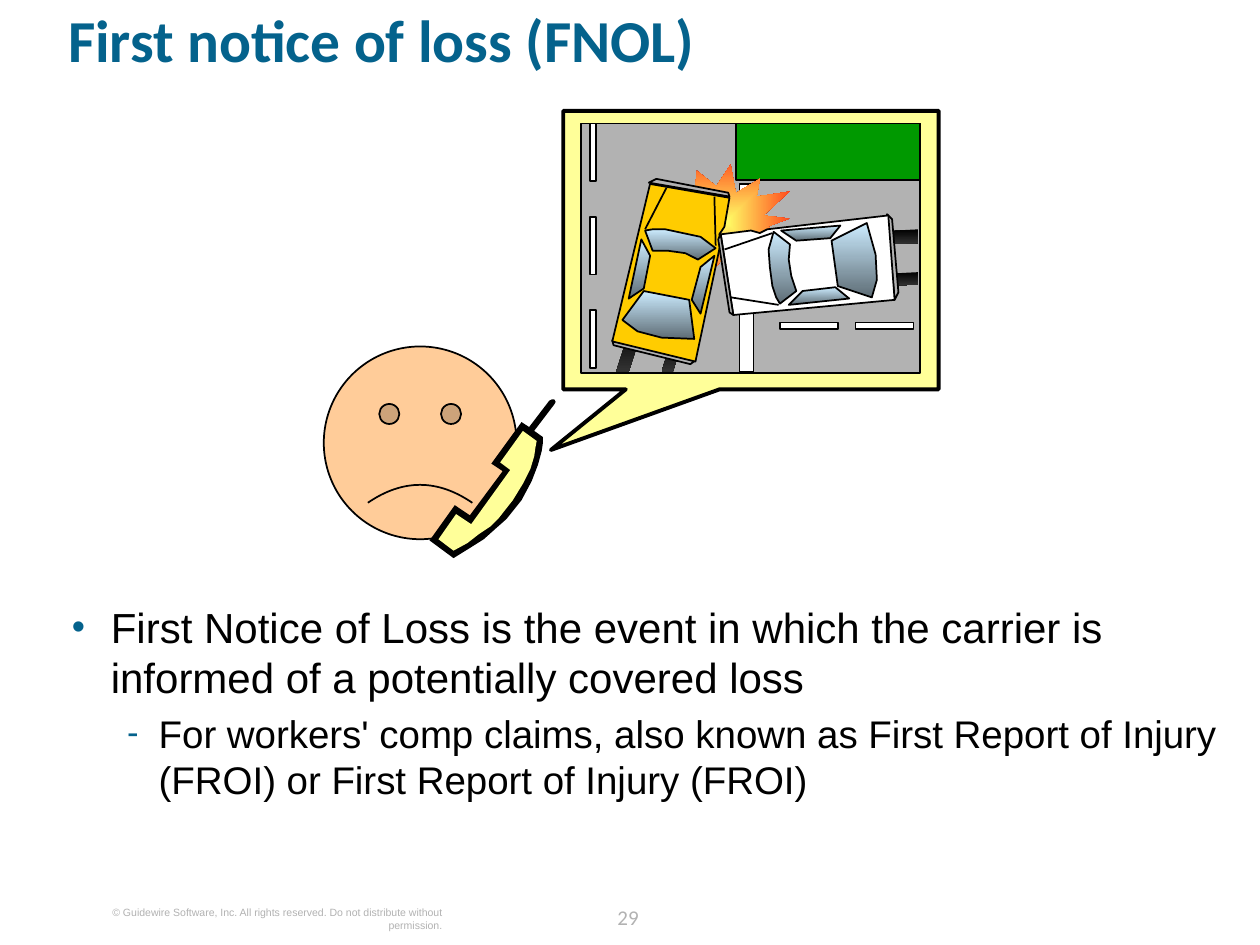
from lxml import etree
from pptx import Presentation
from pptx.dml.color import RGBColor
from pptx.enum.shapes import MSO_CONNECTOR, MSO_SHAPE as Preset
from pptx.enum.text import PP_ALIGN as Align
from pptx.oxml.ns import qn
from pptx.util import Cm, Pt

BLACK = RGBColor(0x00, 0x00, 0x00)
CHARCOAL = RGBColor(0x33, 0x33, 0x33)
WHITE = RGBColor(0xFF, 0xFF, 0xFF)
GREY = RGBColor(0xB2, 0xB2, 0xB2)
TEAL = RGBColor(0x04, 0x62, 0x8C)
CREAM = RGBColor(0xFF, 0xFF, 0x99)
SKIN = RGBColor(0xFF, 0xCC, 0x99)
GREEN = RGBColor(0x00, 0x99, 0x00)
TAXI = RGBColor(0xFF, 0xCC, 0x00)
FLAME = (RGBColor(0xFF, 0xFF, 0x66), RGBColor(0xFF, 0x00, 0x00))
GLASS = (RGBColor(0xCC, 0xEC, 0xFF), RGBColor(0x5E, 0x6D, 0x76))
TYRE = (BLACK, CHARCOAL)

# Positions are on an inch grid: left, top, width, height or x, y.
TITLE = "First notice of loss (FNOL)"
BULLETS = [
    dict(text="First Notice of Loss is the event in which the carrier is informed of a "
              "potentially covered loss",
         mark="•", size=24, indent=0.31, hang=0.31, before=0),
    dict(text="For workers' comp claims, also known as First Report of Injury (FROI) or "
              "First Report of Injury (FROI)",
         mark="-", size=22, indent=0.69, hang=0.25, before=4.4),
]
COPYRIGHT = "© Guidewire Software, Inc. All rights reserved. Do not distribute without permission."
PAGE = "29"

HANDSET = [
    ([(3.61, 4.01), (3.73, 4.09), (3.99, 3.74), (3.9, 3.68), (4.14, 3.35), (4.2, 3.39),
      (4.36, 3.18), (4.38, 3.17), (4.4, 3.17), (4.41, 3.19), (4.4, 3.21), (4.24, 3.42),
      (4.31, 3.47), (4.31, 3.51), (4.3, 3.58), (4.27, 3.69), (4.22, 3.82), (4.14, 3.97),
      (4.02, 4.12), (3.93, 4.2), (3.84, 4.28), (3.73, 4.35), (3.6, 4.43), (3.41, 4.29)],
     BLACK),
    ([(3.6, 4.37), (3.71, 4.31), (3.8, 4.24), (3.89, 4.18), (3.96, 4.11), (4.07, 3.97),
      (4.15, 3.84), (4.21, 3.72), (4.24, 3.62), (4.25, 3.55), (4.26, 3.5), (4.15, 3.42),
      (3.97, 3.67), (4.05, 3.73), (3.74, 4.16), (3.62, 4.08), (3.48, 4.28)],
     CREAM),
]

STREET = [
    ((4.61, 0.98, 2.69, 1.98), GREY),
    ((5.84, 0.98, 1.46, 0.45), GREEN),
    ((5.87, 1.46, 0.11, 1.49), WHITE),
]
DASH_LONG, DASH_THIN = 0.46, 0.05
STREET += [((4.68, 0.98 + 0.74 * n, DASH_THIN, DASH_LONG), WHITE) for n in range(3)]
STREET += [((6.19 + 0.6 * n, 2.56, DASH_LONG, DASH_THIN), WHITE) for n in range(2)]

SKID_MARKS = [
    [(6.9, 1.94), (7.29, 1.93), (7.29, 1.82), (6.9, 1.84)],
    [(6.9, 2.27), (7.29, 2.26), (7.29, 2.16), (6.9, 2.18)],
    [(5.01, 2.58), (4.89, 2.95), (4.99, 2.95), (5.1, 2.61)],
    [(5.34, 2.67), (5.25, 2.95), (5.34, 2.95), (5.43, 2.67)],
]

CARS = [
    dict(
        paint=TAXI,
        rear=[(4.86, 2.7), (5.52, 2.86), (5.48, 2.89), (4.87, 2.74)],
        body=[(5.16, 1.46), (4.86, 2.71), (5.52, 2.87), (5.72, 1.93), (5.71, 1.86),
              (5.75, 1.8), (5.79, 1.57)],
        windows=[
            [(5.12, 1.83), (5.18, 1.99), (5.3, 1.99), (5.44, 2.01), (5.54, 2.06),
             (5.68, 1.97), (5.56, 1.88), (5.42, 1.85), (5.28, 1.82), (5.18, 1.82)],
            [(5.11, 2.31), (4.94, 2.54), (5.06, 2.63), (5.25, 2.68), (5.51, 2.69),
             (5.47, 2.38)],
            [(5.56, 2.12), (5.67, 2.03), (5.56, 2.49), (5.49, 2.38)],
            [(5.16, 2.03), (5.11, 2.29), (4.99, 2.37), (5.09, 1.9)],
        ],
        creases=[((5.12, 1.82), (5.29, 1.49)), ((5.68, 1.95), (5.67, 1.56))],
        front=[(5.15, 1.45), (5.21, 1.42), (5.78, 1.53), (5.79, 1.56)],
    ),
    dict(
        paint=WHITE,
        rear=[(7.04, 1.7), (7.1, 2.38), (7.13, 2.32), (7.08, 1.74)],
        body=[(5.82, 2.5), (7.1, 2.38), (7.05, 1.71), (6.09, 1.82), (6.03, 1.85),
              (5.96, 1.83), (5.72, 1.86)],
        windows=[
            [(6.19, 2.41), (6.32, 2.31), (6.28, 2.19), (6.26, 2.06), (6.27, 1.94),
             (6.14, 1.84), (6.1, 1.98), (6.11, 2.12), (6.13, 2.27), (6.16, 2.36)],
            [(6.65, 2.27), (6.92, 2.36), (6.96, 2.22), (6.95, 2.02), (6.88, 1.77),
             (6.6, 1.91)],
            [(6.32, 1.91), (6.2, 1.83), (6.67, 1.79), (6.59, 1.89)],
            [(6.37, 2.31), (6.63, 2.28), (6.74, 2.37), (6.26, 2.42)],
        ],
        creases=[((6.18, 2.42), (5.8, 2.36)), ((6.13, 1.85), (5.75, 1.98))],
        front=[(5.82, 2.5), (5.72, 1.86), (5.7, 1.9), (5.79, 2.48)],
    ),
]


def lengths(*inches):
    return [Cm(value * 2.54) for value in inches]


def paint(shape, fill, line_width):
    """Fill with one colour or a pair (top to bottom); a line width of 0 means no line."""
    shape.shadow.inherit = False
    if isinstance(fill, RGBColor):
        shape.fill.solid()
        shape.fill.fore_color.rgb = fill
    else:
        shape.fill.gradient()
        shape.fill.gradient_angle = 270
        for stop, colour in zip(shape.fill.gradient_stops, fill):
            stop.color.rgb = colour
    if line_width:
        shape.line.color.rgb = BLACK
        shape.line.width = Pt(line_width)
    else:
        shape.line.fill.background()
    return shape


def add_preset(preset, box, fill, line_width=1, adjust=()):
    shape = shapes.add_shape(preset, *lengths(*box))
    for index, value in enumerate(adjust):
        shape.adjustments[index] = value
    return paint(shape, fill, line_width)


def add_outline(points, fill, line_width=1):
    start, *rest = [lengths(*point) for point in points]
    builder = shapes.build_freeform(*start)
    builder.add_line_segments(rest, close=True)
    return paint(builder.convert_to_shape(), fill, line_width)


def add_crease(start, end):
    crease = shapes.add_connector(MSO_CONNECTOR.STRAIGHT, *lengths(*start, *end))
    crease.line.color.rgb = BLACK
    crease.line.width = Pt(1)
    etree.SubElement(crease._element.spPr, qn("a:effectLst"))


def add_text_frame(box):
    frame = shapes.add_textbox(*lengths(*box)).text_frame
    frame.word_wrap = True
    for side in ("left", "top", "right", "bottom"):
        setattr(frame, f"margin_{side}", 0)
    return frame


def write(paragraph, text, colour, font, **layout):
    paragraph.text = text
    for name, value in layout.items():
        setattr(paragraph, name, value)
    for name, value in font.items():
        setattr(paragraph.font, name, value)
    paragraph.font.color.rgb = colour


def add_bullet(paragraph, mark, indent, hang):
    props = paragraph._p.get_or_add_pPr()
    left, hanging = lengths(indent, hang)
    props.set("marL", str(left))
    props.set("indent", str(-hanging))
    colour = etree.SubElement(props, qn("a:buClr"))
    etree.SubElement(colour, qn("a:srgbClr"), val=str(TEAL))
    etree.SubElement(props, qn("a:buSzPct"), val="90000")
    etree.SubElement(props, qn("a:buFont"), typeface="Arial")
    etree.SubElement(props, qn("a:buChar"), char=mark)


deck = Presentation()
deck.slide_width, deck.slide_height = lengths(10, 7.5)
shapes = deck.slides.add_slide(deck.slide_layouts[6]).shapes

write(add_text_frame((4.7, 7.13, 0.57, 0.25)).paragraphs[0], PAGE, GREY,
      dict(name="Calibri", size=Pt(12)), alignment=Align.CENTER, line_spacing=Pt(18))
write(add_text_frame((0.61, 7.19, 2.9, 0.2)).paragraphs[0], COPYRIGHT, GREY,
      dict(name="Arial", size=Pt(6)), alignment=Align.RIGHT)

add_preset(Preset.RECTANGULAR_CALLOUT, (4.47, 0.88, 2.98, 2.21), CREAM, 2.25, (-0.533, 0.718))
add_preset(Preset.SMILEY_FACE, (2.57, 2.75, 1.53, 1.53), SKIN, adjust=(-0.047,))
for points, fill in HANDSET:
    add_outline(points, fill, 0)

write(add_text_frame((0.54, 0.13, 9.1, 0.81)).paragraphs[0], TITLE, TEAL,
      dict(name="Calibri", size=Pt(34), bold=True), line_spacing=0.8)
body = add_text_frame((0.57, 4.77, 9.1, 2.22))
for number, item in enumerate(BULLETS):
    paragraph = body.add_paragraph() if number else body.paragraphs[0]
    paragraph.level = number
    add_bullet(paragraph, item["mark"], item["indent"], item["hang"])
    write(paragraph, item["text"], BLACK, dict(name="Arial", size=Pt(item["size"])),
          space_before=Pt(item["before"]))

for box, fill in STREET:
    add_preset(Preset.RECTANGLE, box, fill)
for points in SKID_MARKS:
    add_outline(points, TYRE, 0)

crash = add_preset(Preset.EXPLOSION2, (5.26, 1.24, 1.01, 1.04), FLAME, 0)
crash.rotation = 44.7
gradient = crash._element.spPr.find(qn("a:gradFill"))
gradient.remove(gradient.find(qn("a:lin")))
radial = etree.SubElement(gradient, qn("a:path"), attrib={"path": "shape"})
etree.SubElement(radial, qn("a:fillToRect"), attrib=dict.fromkeys("ltrb", "50000"))

for car in CARS:
    add_outline(car["rear"], GREY)
    add_outline(car["body"], car["paint"])
    for window in car["windows"]:
        add_outline(window, GLASS)
    for start, end in car["creases"]:
        add_crease(start, end)
    add_outline(car["front"], GREY)

deck.save("out.pptx")
